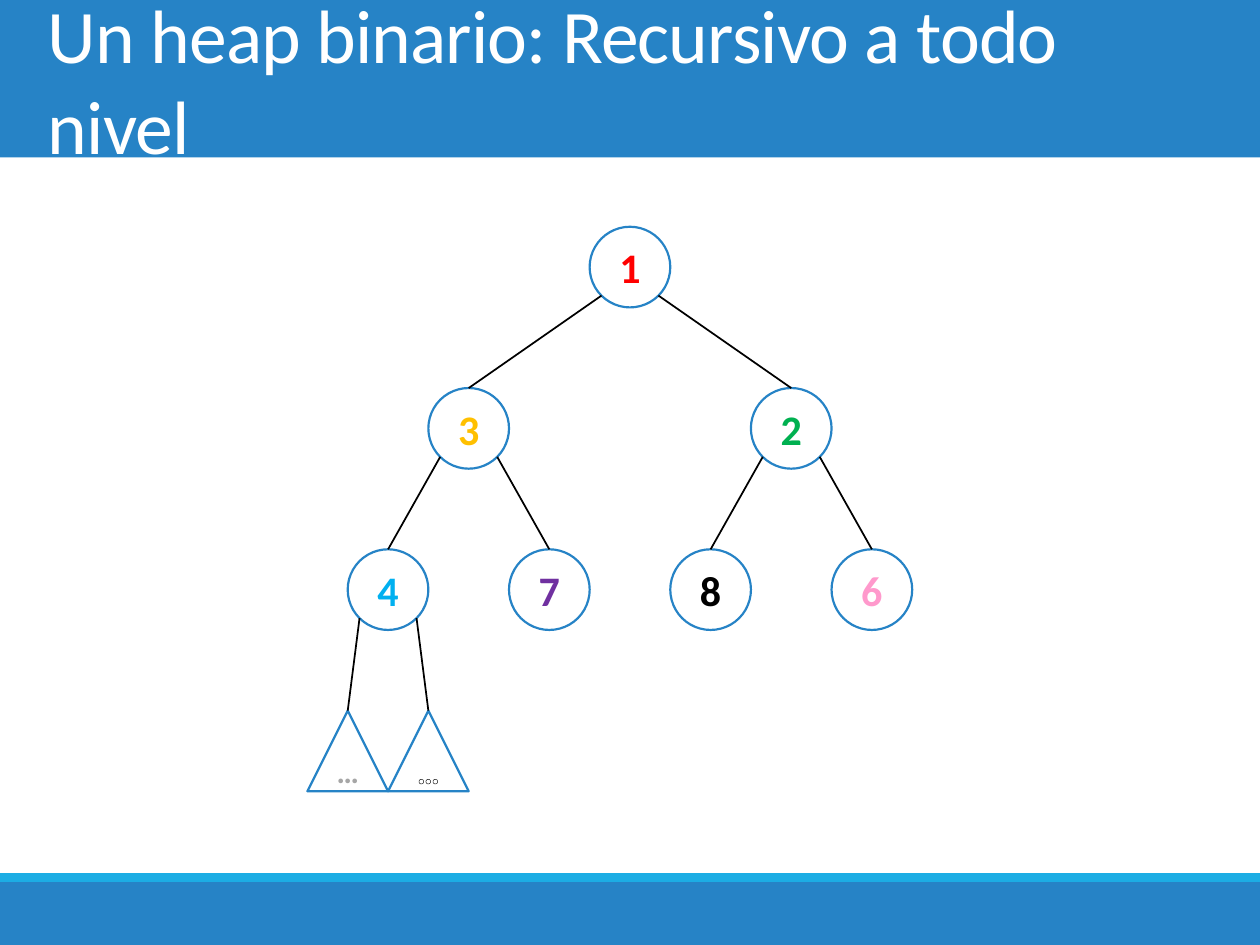
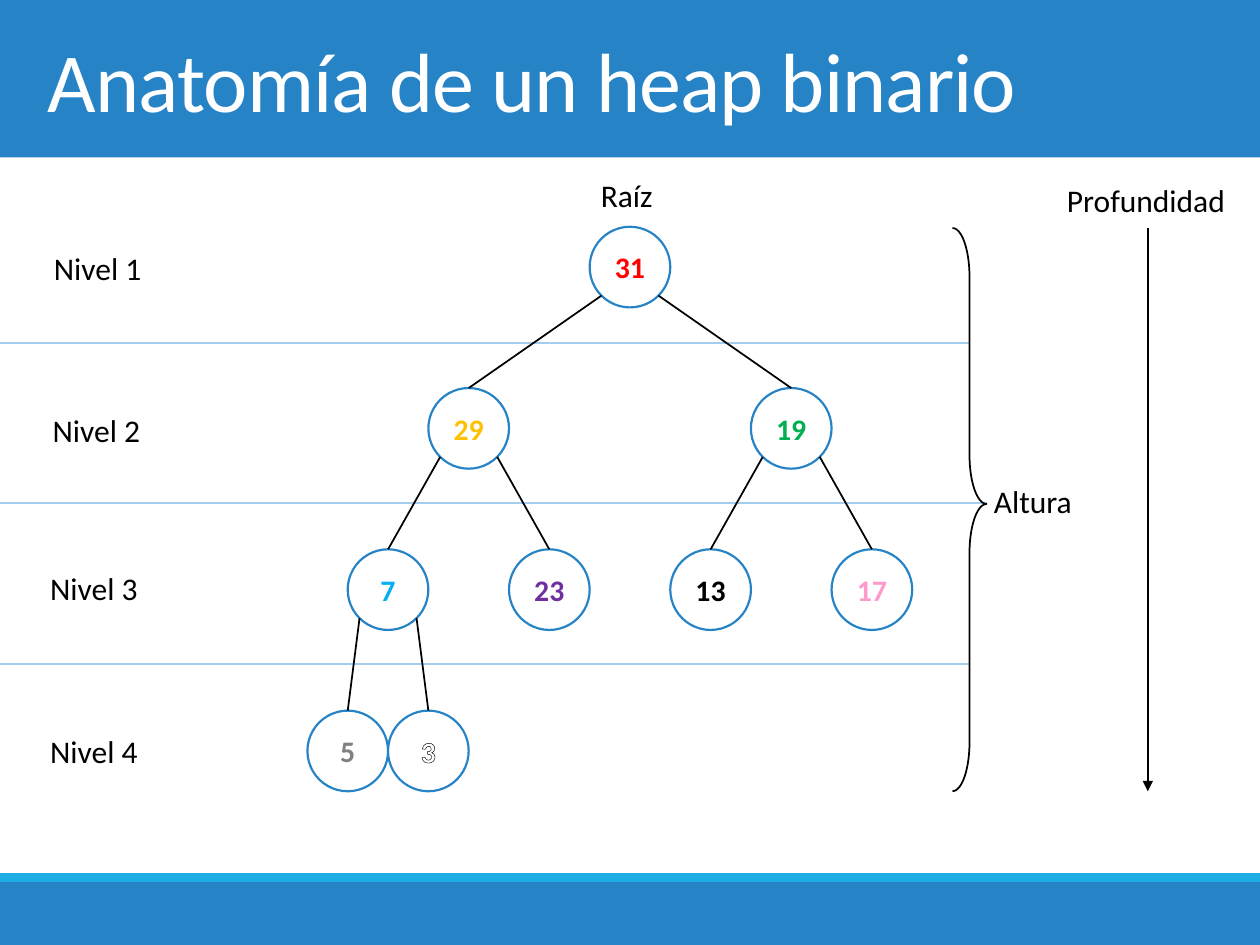
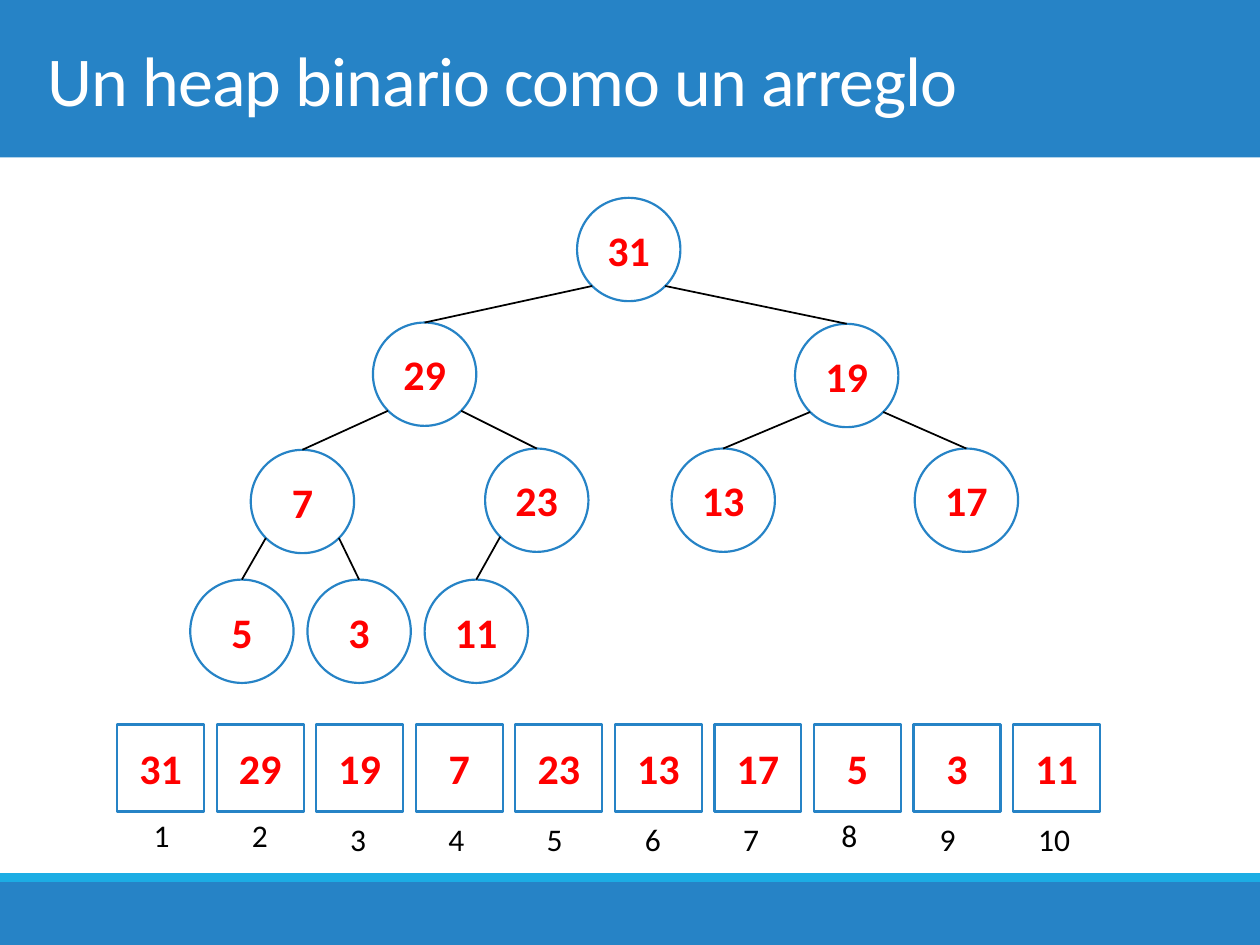
from lxml import etree
from pptx import Presentation
from pptx.dml.color import RGBColor
from pptx.enum.shapes import MSO_CONNECTOR, MSO_SHAPE
from pptx.enum.text import MSO_ANCHOR, MSO_AUTO_SIZE, PP_ALIGN
from pptx.oxml.ns import qn
from pptx.util import Inches, Pt

OVAL = MSO_SHAPE.OVAL
RECT = MSO_SHAPE.RECTANGLE
CONE = MSO_SHAPE.ISOSCELES_TRIANGLE
BRACE = MSO_SHAPE.RIGHT_BRACE
LINE = MSO_CONNECTOR.STRAIGHT
MIDDLE = MSO_ANCHOR.MIDDLE
LEFT = PP_ALIGN.LEFT
CENTER = PP_ALIGN.CENTER
FIXED = MSO_AUTO_SIZE.NONE
GROW = MSO_AUTO_SIZE.SHAPE_TO_FIT_TEXT

FONT = "Calibri"
COLORS = {
    "blue": "2683C6", "cyan": "1CADE4", "pale": "A3CEED",
    "white": "FFFFFF", "black": "000000", "red": "FF0000",
    "gold": "FFC000", "green": "00B050", "sky": "00B0F0",
    "purple": "7030A0", "pink": "FF99CC", "gray": "808080",
    "silver": "A6A6A6",
}
HUES = ["red", "gold", "green", "sky", "purple", "black", "pink"]
HEAP = [31, 29, 19, 7, 23, 13, 17, 5, 3, 11]
DIAG = 0.5 ** 0.5


def rgb(name):
    return RGBColor.from_string(COLORS[name])


def add_run(para, text, size, color, bold=False):
    run = para.add_run()
    run.text = str(text)
    font = run.font
    font.name, font.size, font.bold = FONT, Pt(size), bold
    font.color.rgb = rgb(color)
    return run


def outline(run):
    line = etree.Element(qn("a:ln"), w=str(Pt(0.75)))
    fill = etree.SubElement(line, qn("a:solidFill"))
    etree.SubElement(fill, qn("a:srgbClr"), val=COLORS["black"])
    run._r.get_or_add_rPr().insert(0, line)


def add_shape(slide, kind, box, fill=None, line=None, width=1.25):
    shape = slide.shapes.add_shape(kind, *map(Inches, box))
    shape.shadow.inherit = False
    if fill:
        shape.fill.solid()
        shape.fill.fore_color.rgb = rgb(fill)
    else:
        shape.fill.background()
    if line:
        shape.line.color.rgb = rgb(line)
        shape.line.width = Pt(width)
    else:
        shape.line.fill.background()
    return shape


def add_node(slide, kind, box, text, size, color):
    shape = add_shape(slide, kind, box, "white", "blue")
    frame = shape.text_frame
    frame.margin_left = frame.margin_right = 0
    frame.margin_top = frame.margin_bottom = 0
    frame.vertical_anchor = MIDDLE
    para = frame.paragraphs[0]
    para.alignment = CENTER
    run = add_run(para, text, size, color, True)
    if color == "white":
        outline(run)
    return shape


def add_line(slide, start, end, color="black", arrow=False):
    line = slide.shapes.add_connector(LINE, *map(Inches, start + end))
    line.line.color.rgb = rgb(color)
    line.line.width = Pt(1)
    if arrow:
        etree.SubElement(line.line._get_or_add_ln(), qn("a:tailEnd"), type="triangle")
    etree.SubElement(line.element.spPr, qn("a:effectLst"))
    return line


def add_label(slide, text, left, top, width, wrap=False):
    box = slide.shapes.add_textbox(*map(Inches, (left, top, width, 0.4)))
    frame = box.text_frame
    frame.word_wrap = wrap
    frame.auto_size = GROW
    add_run(frame.paragraphs[0], text, 18, "black")


def add_tree(slide, spots, side, labels, hues, size, leaf=OVAL):
    nodes = []
    for i, (left, top) in enumerate(spots):
        kind = leaf if i > 6 else OVAL
        font = 18 if kind == CONE else size
        node = add_node(slide, kind, (left, top, side, side), labels[i], font, hues[i])
        nodes.append(node)
        if i:
            x, y = spots[(i - 1) // 2]
            half = side / 2
            turn = -DIAG if i % 2 else DIAG
            start = (x + half + half * turn, y + half + half * DIAG)
            edge = add_line(slide, start, (left + half, top))
            edge.end_connect(node, 0)


def even_spots():
    mids = [5]
    for i in range(1, 9):
        level = (i + 1).bit_length() - 1
        shift = 2.56 / 2 ** level
        mids.append(mids[(i - 1) // 2] + (-shift if i % 2 else shift))
    return [(mid - 0.32, 1.8 + 1.28 * ((i + 1).bit_length() - 1))
            for i, mid in enumerate(mids)]


def add_bands(slide):
    layout = slide.slide_layout
    for holder in list(layout.placeholders)[1:]:
        layout.shapes.element.remove(holder.element)
    bands = [(0, 1.25, "blue"), (7, 0.5, "blue"), (6.93, 0.07, "cyan")]
    shapes = [add_shape(slide, RECT, (0, top, 10, height), fill)
              for top, height, fill in bands]
    for i, band in enumerate(shapes):
        layout.shapes.element.insert(2 + i, band.element)


def add_slide(deck, text, size):
    slide = deck.slides.add_slide(deck.slide_layouts[5])
    title = slide.shapes.title
    title.left, title.top = Inches(0.28), Inches(0)
    title.width, title.height = Inches(9.45), Inches(1.25)
    frame = title.text_frame
    frame.word_wrap = True
    frame.auto_size = FIXED
    frame.vertical_anchor = MIDDLE
    frame.margin_right = Inches(0.3)
    para = frame.paragraphs[0]
    para.alignment = LEFT
    run = add_run(para, text, size, "white")
    run._r.get_or_add_rPr().set("spc", "-50")
    return slide


def add_nested(deck):
    slide = add_slide(deck, "Un heap binario: Recursivo a todo nivel", 43.2)
    add_bands(slide)
    labels = [1, 3, 2, 4, 7, 8, 6, "…", "…"]
    add_tree(slide, even_spots(), 0.64, labels, HUES + ["silver", "white"], 24, CONE)


def add_parts(deck):
    slide = add_slide(deck, "Anatomía de un heap binario", 48)
    for top, right in [(2.72, 7.7), (3.99, 7.83), (5.27, 7.7)]:
        add_line(slide, (0, top), (right, top), "pale")
    add_tree(slide, even_spots(), 0.64, HEAP, HUES + ["gray", "white"], 17)
    levels = [(0.33, 1.93), (0.32, 3.21), (0.3, 4.47), (0.3, 5.76)]
    for i, (left, top) in enumerate(levels, 1):
        add_label(slide, f"Nivel {i}", left, top, 0.9)
    brace = add_shape(slide, BRACE, (7.56, 1.81, 0.27, 4.47), None, "black", 1)
    brace.adjustments[0] = 1.44
    brace.adjustments[1] = 0.49
    add_line(slide, (9.11, 1.81), (9.11, 6.28), arrow=True)
    add_label(slide, "Raíz", 4.67, 1.35, 0.62)
    add_label(slide, "Altura", 7.79, 3.78, 0.83)
    add_label(slide, "Profundidad", 8.37, 1.39, 1.47)


def add_array(deck):
    slide = add_slide(deck, "Un heap binario como un arreglo", 40)
    spots = [(4.58, 1.57), (2.96, 2.56), (6.31, 2.57), (1.99, 3.57), (3.85, 3.56),
             (5.33, 3.56), (7.26, 3.56), (1.51, 4.6), (2.44, 4.6), (3.37, 4.6)]
    add_tree(slide, spots, 0.82, HEAP, ["red"] * len(HEAP), 24)
    for i, value in enumerate(HEAP):
        box = (0.93 + 0.79 * i, 5.75, 0.69, 0.69)
        add_node(slide, RECT, box, value, 24, "red")
        top = 6.43 if i in (0, 1, 7) else 6.46
        add_label(slide, i + 1, 1.12 + 0.78 * i, top, 0.48, True)


def main():
    deck = Presentation()
    deck.slide_width, deck.slide_height = Inches(10), Inches(7.5)
    add_nested(deck)
    add_parts(deck)
    add_array(deck)
    deck.save("out.pptx")


if __name__ == "__main__":
    main()
